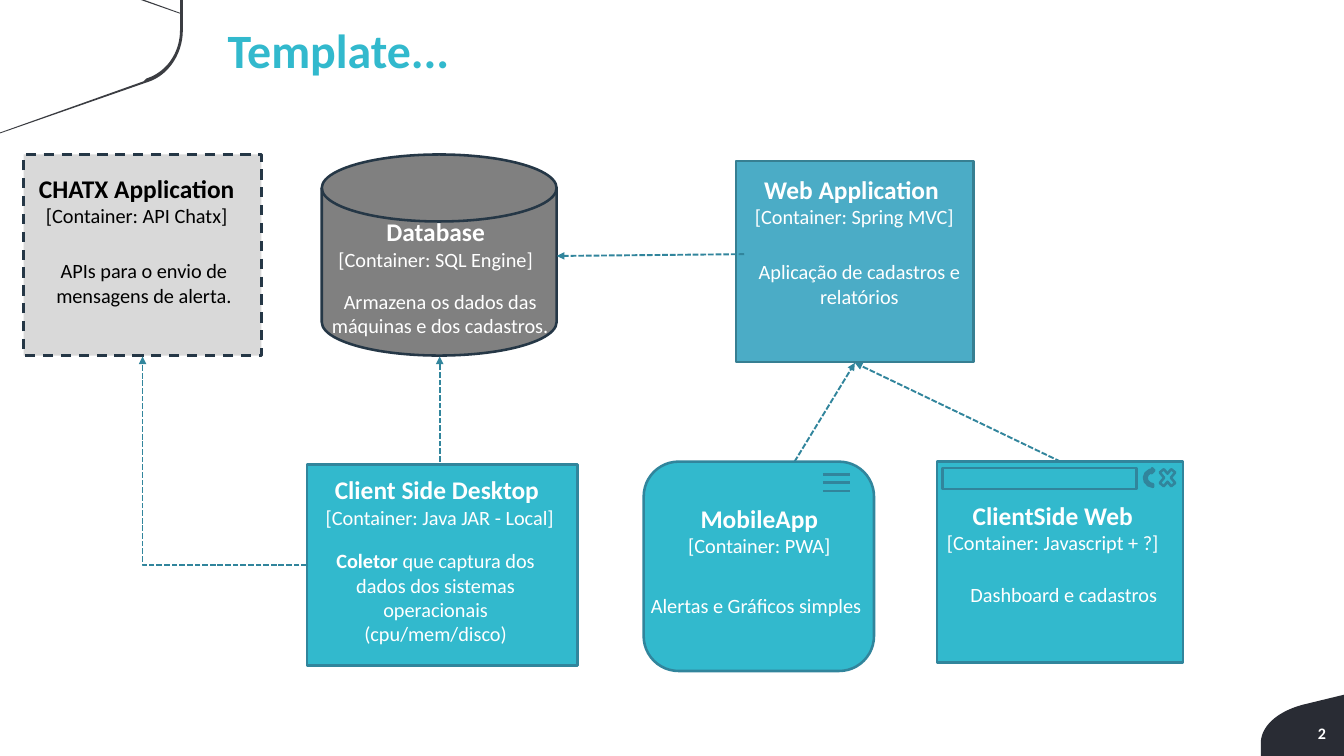
from dataclasses import dataclass

from pptx import Presentation
from pptx.dml.color import RGBColor
from pptx.enum.shapes import MSO_CONNECTOR, MSO_SHAPE
from pptx.enum.dml import MSO_LINE
from pptx.enum.text import MSO_ANCHOR, PP_ALIGN
from pptx.oxml.ns import qn
from pptx.oxml.xmlchemy import OxmlElement
from pptx.util import Pt

COLORS = {
    "white": "FFFFFF", "black": "000000", "aqua": "32B9CD", "teal": "31859C",
    "blue": "4BACC6", "steel": "377F92", "navy": "253746", "gray": "808080",
    "silver": "D9D9D9", "corner": "292C34", "swoosh": "3B3D42",
}
FONT = "Calibri"
Point = tuple[float, float]
Rect = tuple[float, float, float, float]


@dataclass
class Container:
    name: str
    kind: str
    body: str
    frame: Rect
    heading_frame: Rect
    body_frame: Rect
    fill: str = "aqua"
    line: str = "teal"
    ink: str = "white"
    shape: MSO_SHAPE = MSO_SHAPE.RECTANGLE
    dash: MSO_LINE | None = None
    lead: str = ""


@dataclass
class Arrow:
    start: Point
    end: Point
    bent: bool = False


CONTAINERS = [
    Container("CHATX Application", "API Chatx", "APIs para o envio de mensagens de alerta.",
              (18.7, 121.7, 187.2, 158.4), (6.5, 132.5, 202.3, 51), (12.2, 200.2, 202.3, 46),
              fill="silver", line="navy", ink="black", dash=MSO_LINE.DASH),
    Container("Database", "SQL Engine", "Armazena os dados das máquinas e dos cadastros.",
              (253.4, 121.7, 185, 158.4), (241.9, 167, 202.3, 51), (245.5, 223.9, 202.3, 46),
              fill="gray", line="navy", shape=MSO_SHAPE.FLOWCHART_MAGNETIC_DISK),
    Container("Web Application ", "Spring MVC", "Aplicação de cadastros e relatórios",
              (579.6, 126.7, 187.2, 158.4), (571.7, 133.2, 202.3, 51), (586.1, 200.9, 181.4, 46),
              fill="blue", line="steel"),
    Container("Client Side Desktop ", "Java JAR - Local",
              " que captura dos dados dos sistemas operacionais (cpu/mem/disco)",
              (241.9, 365.8, 213.1, 158.4), (239.8, 370.1, 213.1, 51), (253.4, 428.4, 179.3, 85),
              lead="Coletor"),
    Container("MobileApp", "PWA", "Alertas e Gráficos simples",
              (506.9, 363.6, 181.4, 164.9), (496.8, 392.4, 202.3, 51), (504.7, 463.7, 181.4, 26.6),
              shape=MSO_SHAPE.ROUNDED_RECTANGLE),
    Container("ClientSide Web", "Javascript + ?", "Dashboard e cadastros",
              (738, 363.6, 193.7, 158.4), (727.9, 390.2, 202.3, 51), (736.6, 455, 202.3, 26.6)),
]
ARROWS = [
    Arrow((586.1, 200.2), (438.5, 201.6)),
    Arrow((346.3, 363.6), (346.3, 280.8)),
    Arrow((625.7, 363.6), (673.2, 285.8)),
    Arrow((835.2, 363.6), (673.2, 285.8)),
    Arrow((241.9, 445), (112.3, 280.8), bent=True),
]
WINDOW_PARTS = [
    (MSO_SHAPE.RECTANGLE, (742.3, 368.6, 152.6, 16.6), 0),
    (MSO_SHAPE.MATH_MULTIPLY, (910.8, 365.8, 17.3, 20.9), 0),
    (MSO_SHAPE.CIRCULAR_ARROW, (900.7, 367.9, 15.8, 17.3), 275),
]


def rgb(color: str) -> RGBColor:
    return RGBColor.from_string(COLORS[color])


def points(values) -> list[int]:
    return [Pt(value) for value in values]


def style_span(span, size: float, color: str, bold: bool = False) -> None:
    span.font.name = FONT
    span.font.size = Pt(size)
    span.font.bold = bold
    span.font.color.rgb = rgb(color)


def add_text(shapes, frame: Rect):
    box = shapes.add_textbox(*points(frame))
    box.text_frame.word_wrap = True
    return box.text_frame


def add_box(shapes, kind: MSO_SHAPE, frame: Rect, line: str, fill: str | None = None):
    box = shapes.add_shape(kind, *points(frame))
    box.shadow.inherit = False
    if fill:
        box.fill.solid()
        box.fill.fore_color.rgb = rgb(fill)
    else:
        box.fill.background()
    box.line.color.rgb = rgb(line)
    box.line.width = Pt(2)
    return box


def add_line(shapes, start: Point, end: Point, width: float, bent: bool = False):
    kind = MSO_CONNECTOR.ELBOW if bent else MSO_CONNECTOR.STRAIGHT
    line = shapes.add_connector(kind, *points(start + end))
    line.line.color.rgb = rgb("teal")
    line.line.width = Pt(width)
    line.element.spPr.append(OxmlElement("a:effectLst"))
    return line


def add_arrow(shapes, arrow: Arrow) -> None:
    line = add_line(shapes, arrow.start, arrow.end, 1.5, arrow.bent)
    line.line.dash_style = MSO_LINE.SQUARE_DOT
    properties = line.element.spPr
    if arrow.bent:
        properties.find(qn("a:prstGeom")).set("prst", "bentConnector2")
    head = OxmlElement("a:tailEnd")
    head.set("type", "triangle")
    properties.find(qn("a:ln")).append(head)


def add_container(shapes, item: Container):
    group = shapes.add_group_shape().shapes
    box = add_box(group, item.shape, item.frame, item.line, item.fill)
    if item.dash:
        box.line.dash_style = item.dash
    heading = add_text(group, item.heading_frame)
    heading.text = f"{item.name}\n[Container: {item.kind}]"
    for para, size in zip(heading.paragraphs, (20, 16)):
        para.alignment = PP_ALIGN.CENTER
        style_span(para.runs[0], size, item.ink, size == 20)
    para = add_text(group, item.body_frame).paragraphs[0]
    para.alignment = PP_ALIGN.CENTER
    para.text = item.lead or item.body
    style_span(para.runs[0], 16, item.ink, bool(item.lead))
    if item.lead:
        span = para.add_run()
        span.text = item.body
        style_span(span, 16, item.ink)
    return group


def curve(a: Point, b: Point, c: Point, d: Point, steps: int = 24) -> list[Point]:
    result = []
    for step in range(steps + 1):
        t = step / steps
        weights = ((1 - t) ** 3, 3 * t * (1 - t) ** 2, 3 * t * t * (1 - t), t ** 3)
        result.append(tuple(sum(w * p[axis] for w, p in zip(weights, (a, b, c, d)))
                            for axis in (0, 1)))
    return result


def add_outline(shapes, outline: list[Point], color: str) -> None:
    start, *rest = [tuple(points(point)) for point in outline]
    builder = shapes.build_freeform(*start)
    builder.add_line_segments(rest, close=True)
    shape = builder.convert_to_shape()
    shape.shadow.inherit = False
    shape.fill.solid()
    shape.fill.fore_color.rgb = rgb(color)
    shape.line.fill.background()


deck = Presentation()
deck.slide_width, deck.slide_height = Pt(1058.4), Pt(595.44)
page = deck.slides.add_slide(deck.slide_layouts[5])

corner = [(1058.4, 547.2), *curve((1026, 555.1), (1006.6, 560.2), (992.9, 571.7), (992.9, 585.4)),
          (992.9, 595.44), (1058.4, 595.44)]
swoosh = [(0, 105.1), *curve((115.9, 64.8), (132.5, 59.8), (144, 42.5), (144, 23.8)),
          (144, 0), (141.8, 0), (141.8, 10.1), (113.8, 0), (110.9, 0), (141.8, 10.8),
          *curve((141.8, 23.8), (141.8, 41.8), (131, 56.9), (115.2, 61.9)),
          (113, 64.1), (0, 104.4)]
add_outline(page.shapes, corner, "corner")
add_outline(page.shapes, swoosh, "swoosh")

title = page.shapes.title
title.left, title.top, title.width, title.height = points((172.1, 8.6, 848.9, 60.5))
title.text_frame.text = "Template..."
title.text_frame.vertical_anchor = MSO_ANCHOR.MIDDLE
title.text_frame.paragraphs[0].alignment = PP_ALIGN.LEFT
style_span(title.text_frame.paragraphs[0].runs[0], 37.7, "aqua", True)

number = add_text(page.shapes, (995.8, 569.5, 49.7, 16.6))
number.margin_left = number.margin_right = Pt(1.4)
number.margin_top = number.margin_bottom = Pt(0.7)
number.vertical_anchor = MSO_ANCHOR.MIDDLE
number.text = "2"
number.paragraphs[0].alignment = PP_ALIGN.RIGHT
style_span(number.paragraphs[0].runs[0], 12.6, "white", True)

groups = {item.name: add_container(page.shapes, item) for item in CONTAINERS}
for kind, frame, rotation in WINDOW_PARTS:
    add_box(groups["ClientSide Web"], kind, frame, "teal").rotation = rotation
for row in range(3):
    height = 373.7 + 6.5 * row
    add_line(groups["MobileApp"], (648, height), (669.6, height), 2)
for arrow in ARROWS:
    add_arrow(page.shapes, arrow)

deck.save("out.pptx")
